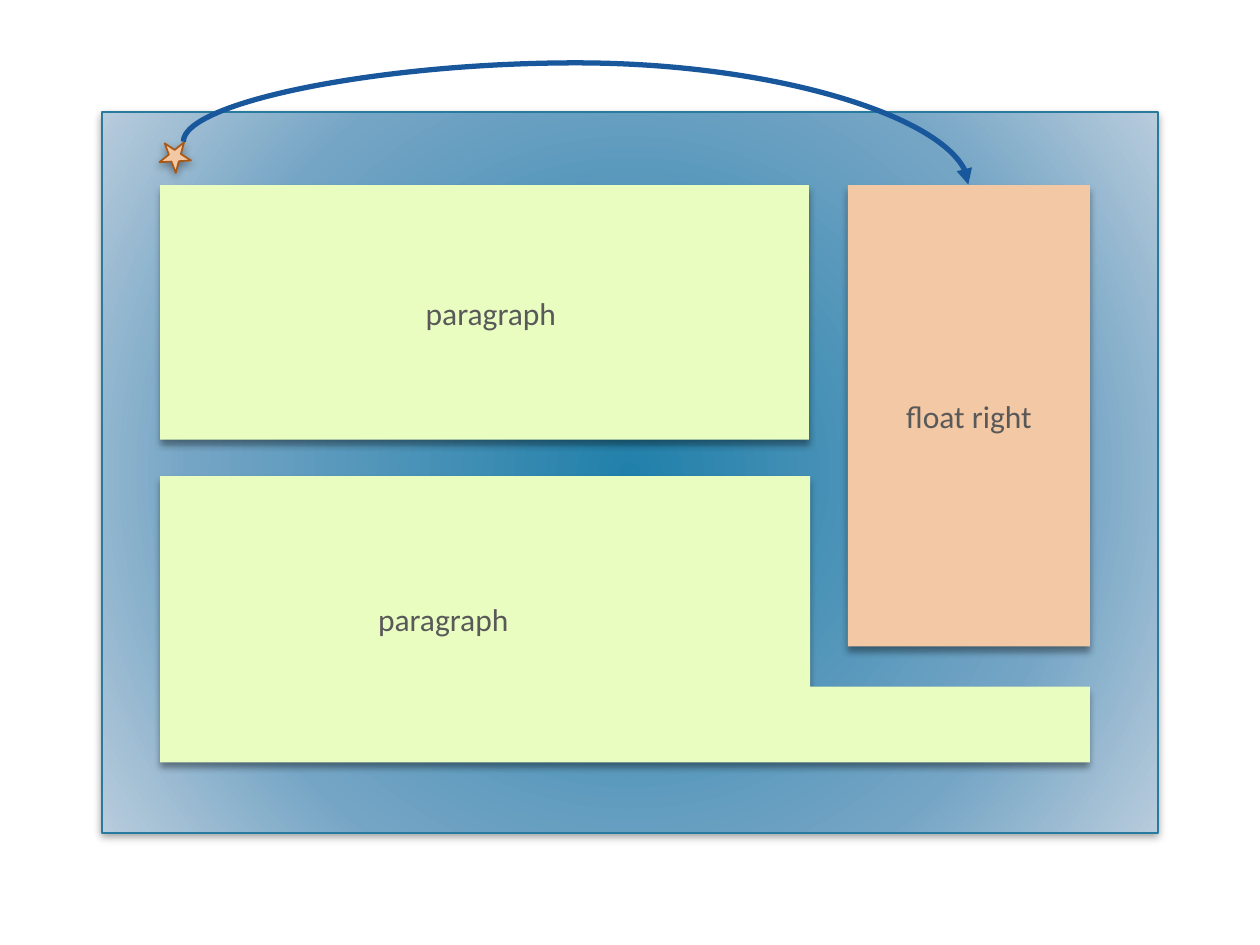
from lxml import etree
from pptx import Presentation
from pptx.dml.color import RGBColor
from pptx.enum.shapes import MSO_CONNECTOR as CONN, MSO_SHAPE as SHAPE
from pptx.enum.text import MSO_ANCHOR as ANCHOR, PP_ALIGN as ALIGN
from pptx.oxml.ns import qn
from pptx.util import Inches, Pt

GREEN, PEACH, BLUE = "EAFDC1", "F3C8A5", "18579B"


def rgb(value):
    return RGBColor.from_string(value)


def sub(parent, tag, **attrs):
    return etree.SubElement(parent, qn(tag), {k: str(v) for k, v in attrs.items()})


class Sketch:
    font = {"name": "Calibri", "size": Pt(18)}
    text_color = "595959"

    def __init__(self, slide):
        self.s = slide

    def finish(self, sp, fill=None, line=None, blur=4, dist=3):
        """Fill, outline and downward shadow."""
        if fill:
            sp.fill.solid()
            sp.fill.fore_color.rgb = rgb(fill)
        if line:
            sp.line.color.rgb = rgb(line)
            sp.line.width = Pt(1)
        else:
            sp.line.fill.background()
        sp.shadow.inherit = False
        effects = sp._element.spPr.find(qn("a:effectLst"))
        shadow = sub(effects, "a:outerShdw", blurRad=Pt(blur), dist=Pt(dist),
                     dir=90 * 60000, rotWithShape=0)
        color = sub(shadow, "a:srgbClr", val="000000")
        sub(color, "a:alpha", val=40000)
        return sp

    def shape(self, kind, x, y, w, h, **look):
        sp = self.s.shapes.add_shape(kind, Inches(x), Inches(y), Inches(w), Inches(h))
        return self.finish(sp, **look)

    def outline(self, points, **look):
        pts = [(Inches(x), Inches(y)) for x, y in points]
        builder = self.s.shapes.build_freeform(*pts[0], scale=1.0)
        builder.add_line_segments(pts[1:], close=True)
        return self.finish(builder.convert_to_shape(), **look)

    def radial(self, sp, stops):
        """Gradient running from the centre outwards."""
        grad = etree.Element(qn("a:gradFill"), rotWithShape="1")
        stop_list = sub(grad, "a:gsLst")
        for pos, color in stops:
            sub(sub(stop_list, "a:gs", pos=pos * 1000), "a:srgbClr", val=color)
        circle = sub(grad, "a:path", path="circle")
        sub(circle, "a:fillToRect", **dict.fromkeys("ltrb", 50000))
        sp._element.spPr.find(qn("a:prstGeom")).addnext(grad)

    def label(self, sp, text, align=ALIGN.CENTER, left=0.1):
        tf = sp.text_frame
        frame = {"word_wrap": True, "vertical_anchor": ANCHOR.MIDDLE,
                 "margin_left": Inches(left)}
        for name, value in frame.items():
            setattr(tf, name, value)
        p = tf.paragraphs[0]
        p.alignment = align
        r = p.add_run()
        r.text = text
        for name, value in self.font.items():
            setattr(r.font, name, value)
        r.font.color.rgb = rgb(self.text_color)

    def arc(self, x, y, w, h, bulge, color, width):
        """Curved connector turned a quarter, with an arrowhead at its start."""
        cx = self.s.shapes.add_connector(
            CONN.CURVE, Inches(x), Inches(y + h), Inches(x + w), Inches(y))
        cx.line.color.rgb = rgb(color)
        cx.line.width = Pt(width)
        sp_pr = cx._element.spPr
        sp_pr.find(qn("a:xfrm")).set("rot", str(270 * 60000))
        guides = sp_pr.find(qn("a:prstGeom")).find(qn("a:avLst"))
        sub(guides, "a:gd", name="adj1", fmla=f"val {round(bulge * 100000)}")
        sub(sp_pr.find(qn("a:ln")), "a:headEnd", type="triangle")
        sub(sp_pr, "a:effectLst")


def main():
    prs = Presentation()
    prs.slide_width, prs.slide_height = Inches(10), Inches(7.5)
    sk = Sketch(prs.slides.add_slide(prs.slide_layouts[6]))

    # Page area
    page = sk.shape(SHAPE.RECTANGLE, 0.81, 0.89, 8.38, 5.72,
                    line="287A9E", blur=5, dist=2)
    sk.radial(page, [(0, "2180AA"), (69, "75A5C5"), (100, "B8CCDC")])

    # Floated box and the paragraphs flowing around it
    left, top, column, right = 1.27, 1.47, 6.43, 8.65
    floated = sk.shape(SHAPE.RECTANGLE, 6.73, top, 1.92, 3.66, fill=PEACH)
    sk.label(floated, "float right")

    wrapped = sk.outline([(left, 3.78), (column, 3.78), (column, 5.45),
                          (right, 5.45), (right, 6.05), (left, 6.05)], fill=GREEN)
    sk.label(wrapped, "paragraph", ALIGN.LEFT, left=1.73)

    first = sk.shape(SHAPE.RECTANGLE, left, top, 5.15, 2.02, fill=GREEN)
    sk.label(first, "paragraph", left=0.2)

    # Anchor star and the arc to the floated box
    star = sk.shape(SHAPE.STAR_5_POINT, left, 1.11, 0.25, 0.24,
                    fill=PEACH, line="AA5816", blur=5, dist=2)
    star.rotation = 33.2
    sk.arc(4.4, -1.82, 0.34, 6.23, bulge=2.84, color=BLUE, width=3)

    prs.save("out.pptx")


if __name__ == "__main__":
    main()
